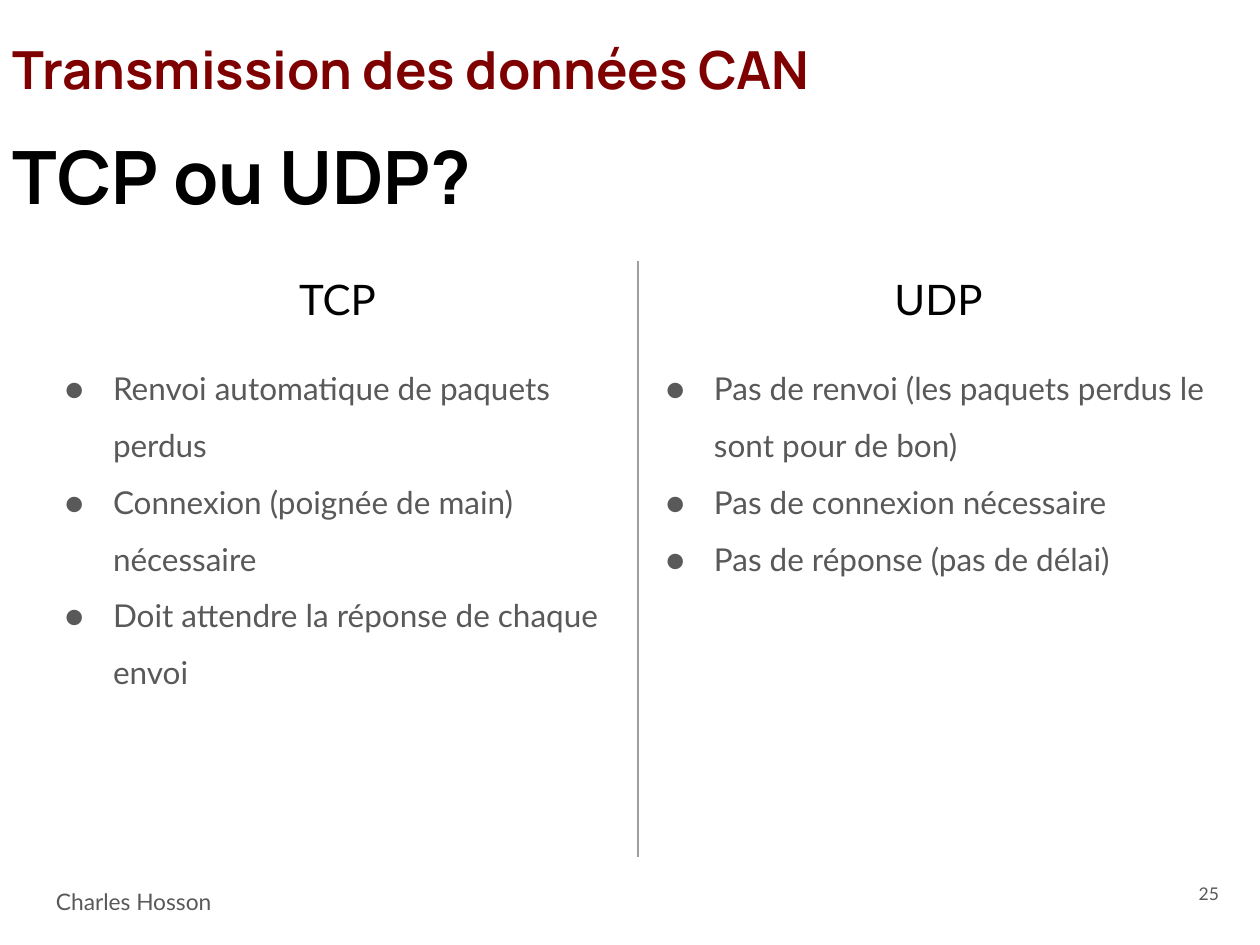
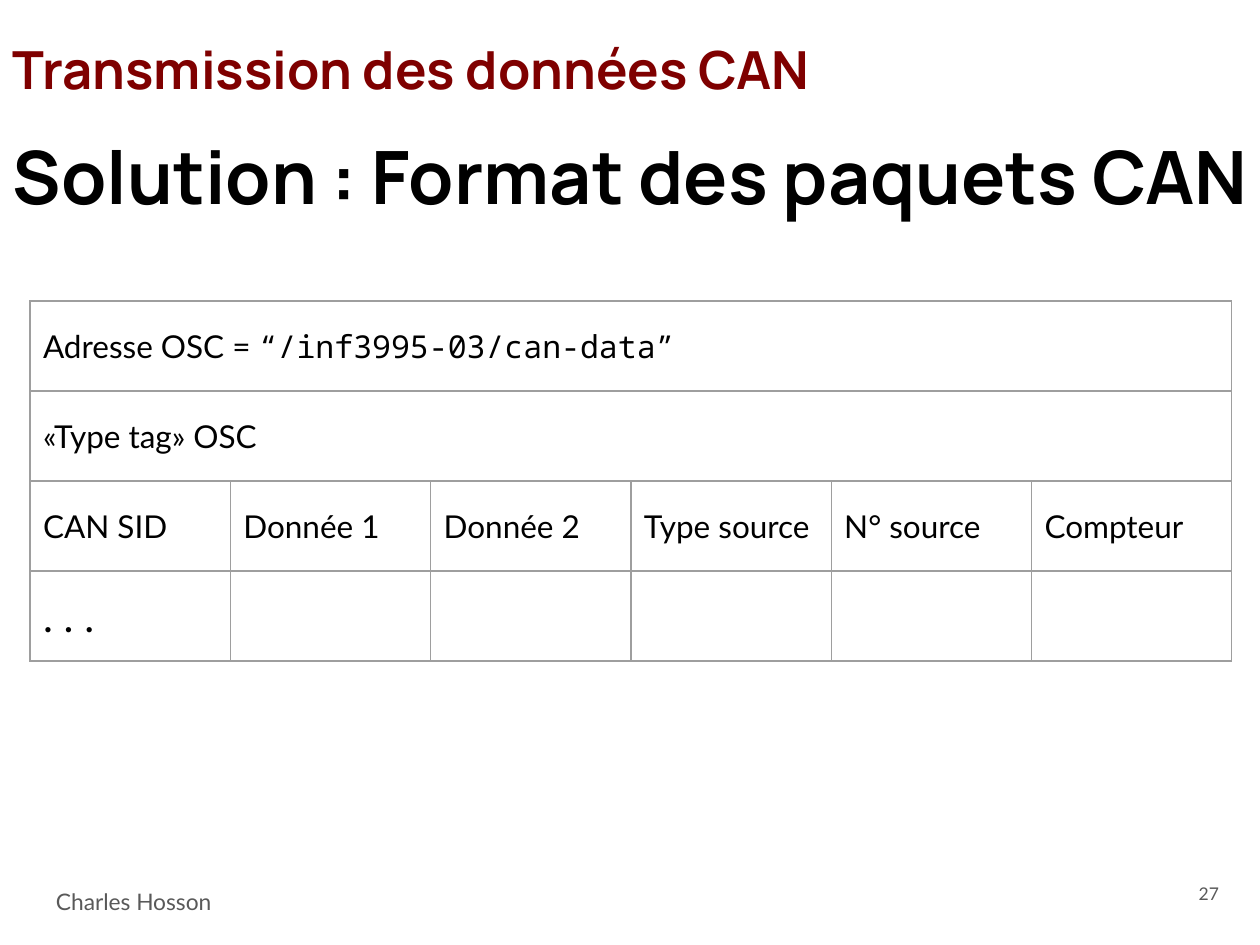
from lxml import etree
from pptx import Presentation
from pptx.dml.color import RGBColor
from pptx.enum.text import MSO_ANCHOR, MSO_AUTO_SIZE, PP_ALIGN
from pptx.oxml.ns import qn
from pptx.util import Emu, Pt

LEFT, CENTER, RIGHT = PP_ALIGN.LEFT, PP_ALIGN.CENTER, PP_ALIGN.RIGHT
TOP, MIDDLE = MSO_ANCHOR.TOP, MSO_ANCHOR.MIDDLE
NO_AUTOFIT = MSO_AUTO_SIZE.NONE

SLIDE_WIDTH, SLIDE_HEIGHT = 1260, 945
EMU_PER_PX = 914400 // 126
MARGIN = 13
TABLE_WIDTH = 1202
BULLET_MARGIN, BULLET_INDENT = 63, -48
NO_STYLE_TABLE = "{2D5ABB26-0587-4C30-8999-92F81FD0307C}"

BODY_FONT, TITLE_FONT, CODE_FONT = "Lato", "Manrope", "Noto Sans Mono"
BLACK, GREY, DARK_RED, RULE_GREY = "000000", "595959", "7F0000", "9E9E9E"

SECTION = "Transmission des données CAN"
AUTHOR = "Charles Hosson"
COMPARISON = {
    "number": "25",
    "heading": "TCP ou UDP?",
    "protocols": {
        "TCP": [
            "Renvoi automatique de paquets perdus",
            "Connexion (poignée de main) nécessaire",
            "Doit attendre la réponse de chaque envoi",
        ],
        "UDP": [
            "Pas de renvoi (les paquets perdus le sont pour de bon)",
            "Pas de connexion nécessaire",
            "Pas de réponse (pas de délai)",
        ],
    },
}
PACKET = {
    "number": "27",
    "heading": "Solution : Format des paquets CAN",
    "headers": [
        [("Adresse OSC = ", BODY_FONT), ("“/inf3995-03/can-data”", CODE_FONT)],
        "«Type tag» OSC",
    ],
    "fields": ["CAN SID", "Donnée 1", "Donnée 2", "Type source", "N° source", "Compteur"],
    "continuation": ". . .",
}


def px(length):
    return Emu(round(length * EMU_PER_PX))


def color(hex_string):
    return RGBColor.from_string(hex_string)


def add_bullet(paragraph):
    properties = paragraph._p.get_or_add_pPr()
    properties.set("marL", str(px(BULLET_MARGIN)))
    properties.set("indent", str(px(BULLET_INDENT)))
    bullet_color = etree.SubElement(properties, qn("a:buClr"))
    etree.SubElement(bullet_color, qn("a:srgbClr"), val=GREY)
    etree.SubElement(properties, qn("a:buFont"), typeface=BODY_FONT)
    etree.SubElement(properties, qn("a:buChar"), char="●")


def write_text(frame, paragraphs, *, size, font=BODY_FONT, fill=BLACK, bold=False,
               align=LEFT, spacing=None, after=None, bullet=False):
    frame.word_wrap = True
    for index, content in enumerate(paragraphs):
        paragraph = frame.paragraphs[0] if index == 0 else frame.add_paragraph()
        paragraph.alignment = align
        if spacing:
            paragraph.line_spacing = spacing
        if after:
            paragraph.space_after = Pt(after)
        if bullet:
            add_bullet(paragraph)
        runs = [(content, font)] if isinstance(content, str) else content
        for text, typeface in runs:
            run = paragraph.add_run()
            run.text = text
            run.font.name = typeface
            run.font.size = Pt(size)
            run.font.bold = bold
            run.font.color.rgb = color(fill)


def set_margins(target, right=MARGIN):
    target.margin_left = target.margin_top = target.margin_bottom = px(MARGIN)
    target.margin_right = px(right)


def fill_box(shape, box, text, anchor=TOP, right_margin=MARGIN, **text_format):
    shape.left, shape.top, shape.width, shape.height = map(px, box)
    frame = shape.text_frame
    frame.auto_size = NO_AUTOFIT
    frame.vertical_anchor = anchor
    set_margins(frame, right_margin)
    write_text(frame, [text], **text_format)


def add_text(slide, box, text, **options):
    fill_box(slide.shapes.add_textbox(*map(px, box)), box, text, **options)


def add_base_slide(presentation, content):
    slide = presentation.slides.add_slide(presentation.slide_layouts[5])
    add_text(slide, (1157, 857, 75, 72), content["number"],
             anchor=MIDDLE, size=10, fill=GREY, align=RIGHT)
    add_text(slide, (43, 871, 479, 50), AUTHOR,
             size=13, fill=GREY, spacing=1.15, after=16)
    fill_box(slide.shapes.title, (0, 24, 848, 83), SECTION,
             size=30, font=TITLE_FONT, fill=DARK_RED, bold=True)
    add_text(slide, (0, 107, SLIDE_WIDTH, 137), content["heading"],
             anchor=MIDDLE, right_margin=0, size=42, font=TITLE_FONT, bold=True)
    return slide


def set_borders(cell, visible_sides):
    properties = cell._tc.get_or_add_tcPr()
    for index, side in enumerate("LRTB"):
        line = etree.Element(qn(f"a:ln{side}"), w=str(Pt(0.75)))
        if side in visible_sides:
            line_fill = etree.SubElement(line, qn("a:solidFill"))
            etree.SubElement(line_fill, qn("a:srgbClr"), val=RULE_GREY)
        else:
            etree.SubElement(line, qn("a:noFill"))
        properties.insert(index, line)


def add_table(slide, left, top, row_heights, column_borders, anchor=TOP):
    column_count = len(column_borders)
    frame = slide.shapes.add_table(len(row_heights), column_count, px(left), px(top),
                                   px(TABLE_WIDTH), px(sum(row_heights)))
    table = frame.table
    table.first_row = table.horz_banding = False
    table._tbl.tblPr.find(qn("a:tableStyleId")).text = NO_STYLE_TABLE
    for row, height in zip(table.rows, row_heights):
        row.height = px(height)
        for cell, borders in zip(row.cells, column_borders):
            cell.fill.background()
            cell.vertical_anchor = anchor
            set_margins(cell)
            set_borders(cell, borders)
    return table


def build_comparison(presentation):
    slide = add_base_slide(presentation, COMPARISON)
    table = add_table(slide, 37, 261, [77, 519], ["R", "L"])
    for column, (protocol, points) in enumerate(COMPARISON["protocols"].items()):
        write_text(table.cell(0, column).text_frame, [protocol], size=24, align=CENTER)
        write_text(table.cell(1, column).text_frame, points,
                   size=18, fill=GREY, spacing=1.5, bullet=True)


def build_packet(presentation):
    slide = add_base_slide(presentation, PACKET)
    headers, fields = PACKET["headers"], PACKET["fields"]
    field_row = len(headers)
    table = add_table(slide, 30, 301, [90] * (field_row + 2),
                      ["LRTB"] * len(fields), anchor=MIDDLE)
    for row, header in enumerate(headers):
        table.cell(row, 0).merge(table.cell(row, len(fields) - 1))
        write_text(table.cell(row, 0).text_frame, [header], size=18)
    for column, field in enumerate(fields):
        write_text(table.cell(field_row, column).text_frame, [field], size=18)
    write_text(table.cell(field_row + 1, 0).text_frame, [PACKET["continuation"]], size=24)


def main():
    presentation = Presentation()
    presentation.slide_width = px(SLIDE_WIDTH)
    presentation.slide_height = px(SLIDE_HEIGHT)
    build_comparison(presentation)
    build_packet(presentation)
    presentation.save("out.pptx")


if __name__ == "__main__":
    main()
